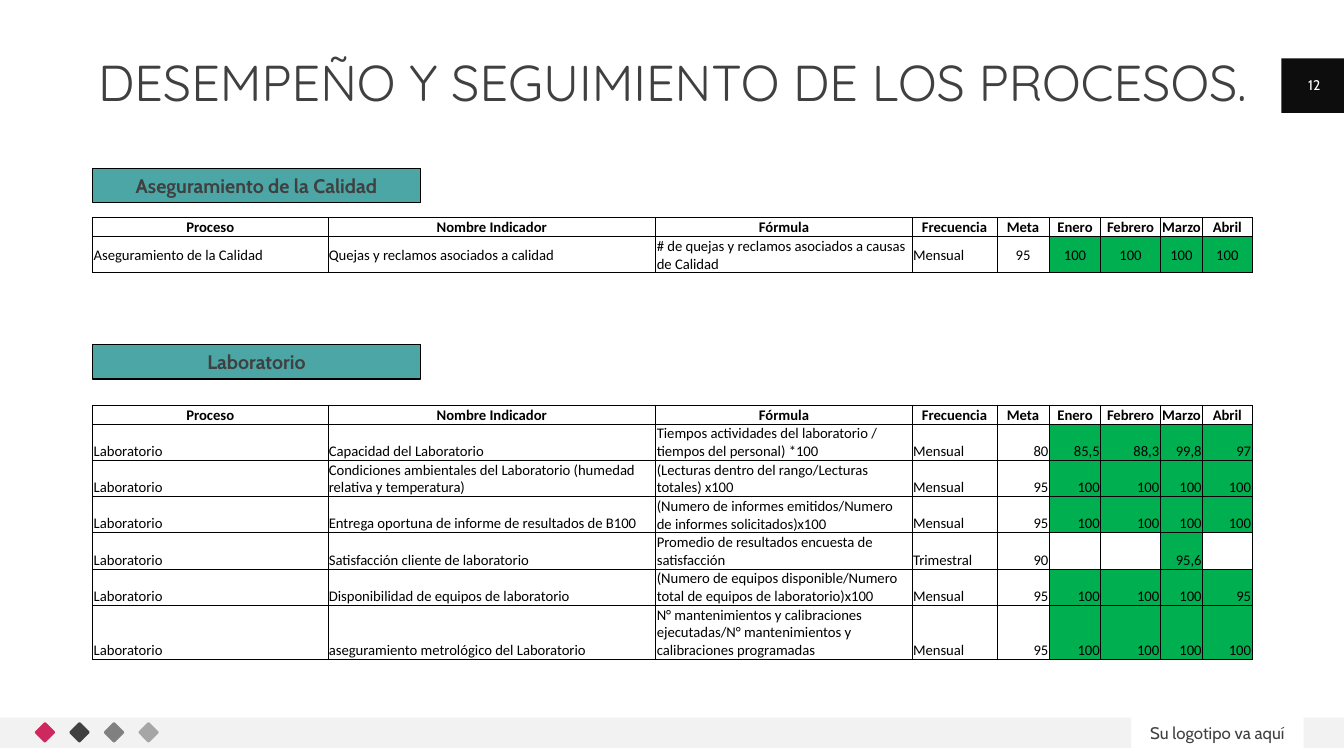
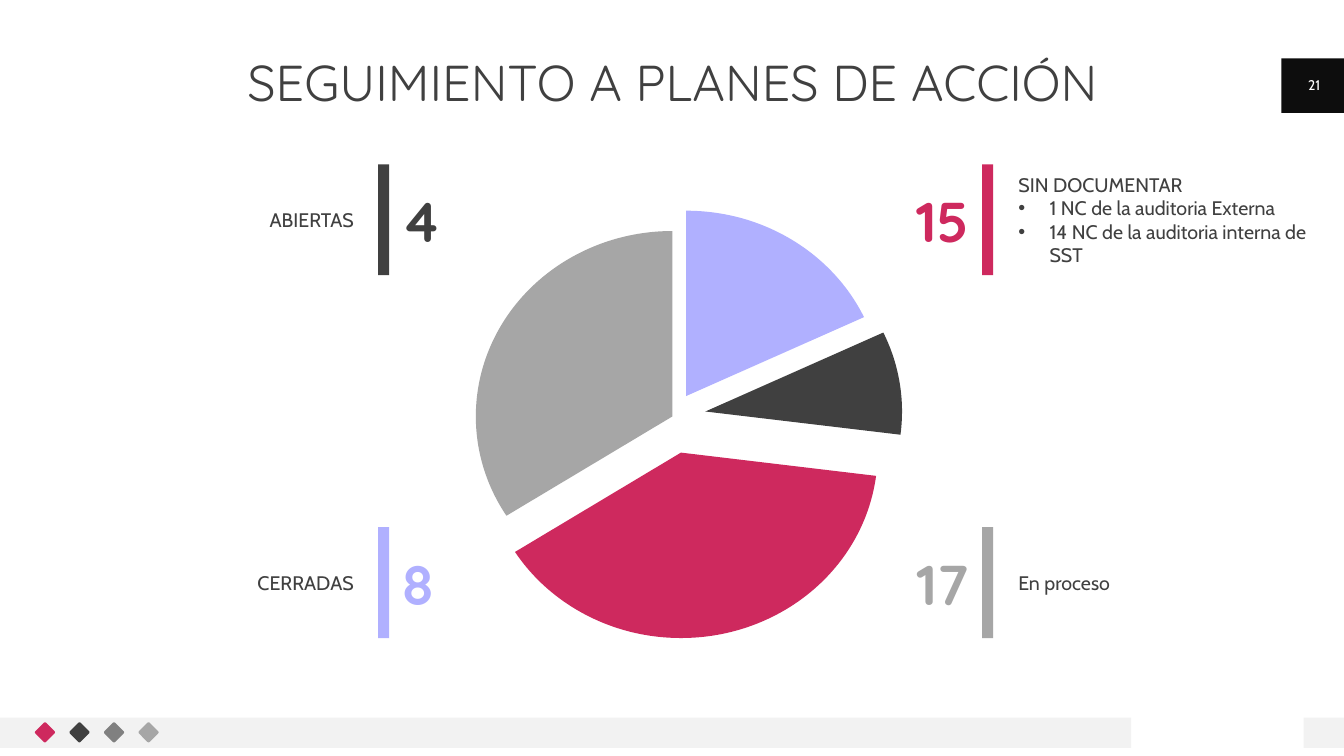
import pptx
import pptx.chart.data
import pptx.dml.color
import pptx.enum.chart
import pptx.enum.shapes
import pptx.enum.text
import pptx.oxml
import pptx.oxml.ns
import pptx.util
from lxml import etree

RGBColor = pptx.dml.color.RGBColor
ALIGN = pptx.enum.text.PP_ALIGN
ANCHOR = pptx.enum.text.MSO_ANCHOR
SHAPE = pptx.enum.shapes.MSO_SHAPE
qn = pptx.oxml.ns.qn

BLACK = RGBColor(0x00, 0x00, 0x00)
WHITE = RGBColor(0xFF, 0xFF, 0xFF)
INK = RGBColor(0x40, 0x40, 0x40)
BADGE = RGBColor(0x0D, 0x0D, 0x0D)
BAND = RGBColor(0xF2, 0xF2, 0xF2)
MAGENTA = RGBColor(0xCE, 0x29, 0x5E)
MID_GREY = RGBColor(0x80, 0x80, 0x80)
LIGHT_GREY = RGBColor(0xA6, 0xA6, 0xA6)
LILAC = RGBColor(0xB0, 0xB0, 0xFF)
TEAL = RGBColor(0x4C, 0xA6, 0xA6)
GREEN = RGBColor(0x00, 0xB0, 0x50)

TITLE_FONT, BODY_FONT, TABLE_FONT = "Quicksand", "Cabin", "Calibri"

SLIDE_W = pptx.util.Inches(13.33)
SLIDE_H = pptx.util.Inches(7.5)

# Positions and sizes are percentages of the slide's width and height.
MARGIN, CONTENT_W = 6.9, 86.27
HEADER_TOP = 7.73
FOOTER_TOP, FOOTER_H = 94.93, 4
LOGO_LEFT, LOGO_W = 84.17, 12.83
LINE_H = 2.39

COLUMN_WEIGHTS = (2.33, 3.25, 2.54, 0.84, 0.52, 0.51, 0.59, 0.42, 0.49)
HEADINGS = ("Proceso", "Nombre Indicador", "Fórmula", "Frecuencia", "Meta",
            "Enero", "Febrero", "Marzo", "Abril")
FIRST_NUMBER, FIRST_MONTH = 4, 5

QUALITY_ROWS = [
    ("Aseguramiento de la Calidad", "Quejas y reclamos asociados a calidad",
     "# de quejas y reclamos asociados a causas de Calidad",
     "Mensual", "95", "100", "100", "100", "100"),
]
LAB_ROWS = [("Laboratorio", *row) for row in (
    ("Capacidad del Laboratorio",
     "Tiempos actividades del laboratorio / tiempos del personal) *100",
     "Mensual", "80", "85,5", "88,3", "99,8", "97"),
    ("Condiciones ambientales del Laboratorio (humedad relativa y temperatura)",
     "(Lecturas dentro del rango/Lecturas totales) x100",
     "Mensual", "95", "100", "100", "100", "100"),
    ("Entrega oportuna de informe de resultados de B100",
     "(Numero de informes emitidos/Numero de informes solicitados)x100",
     "Mensual", "95", "100", "100", "100", "100"),
    ("Satisfacción cliente de laboratorio",
     "Promedio de resultados encuesta de satisfacción",
     "Trimestral", "90", "", "", "95,6", ""),
    ("Disponibilidad de equipos de laboratorio",
     "(Numero de equipos disponible/Numero total de equipos de laboratorio)x100",
     "Mensual", "95", "100", "100", "100", "95"),
    ("aseguramiento metrológico del Laboratorio",
     "N° mantenimientos y calibraciones ejecutadas/N° mantenimientos y "
     "calibraciones programadas",
     "Mensual", "95", "100", "100", "100", "100"),
)]

# Share, colour and explosion of each slice, clockwise from the top.
SLICES = [(18, LILAC, 13), (9, INK, 17), (39, MAGENTA, 20), (34, LIGHT_GREY, 0)]

# Left and width of the label, bar and figure on each side of the pie.
LEFT_SIDE = {"label": (4.2, 22.13), "bar": (28.13, 0.83),
             "figure": (29.86, 15.6),
             "label_align": ALIGN.RIGHT, "figure_align": ALIGN.LEFT}
RIGHT_SIDE = {"label": (75.77, 23.03), "bar": (73.07, 0.83),
              "figure": (56.49, 15.6),
              "label_align": ALIGN.LEFT, "figure_align": ALIGN.RIGHT}
UPPER_ROW, LOWER_ROW, CALLOUT_H = 21.73, 69.73, 14.67


def place(left, top, width, height):
    """Turn percentages of the slide into lengths."""
    return (int(SLIDE_W * left / 100), int(SLIDE_H * top / 100),
            int(SLIDE_W * width / 100), int(SLIDE_H * height / 100))


def style_paragraph(paragraph, size, color, font, bold, align):
    paragraph.alignment = align
    for run in paragraph.runs:
        run.font.size = pptx.util.Pt(size)
        run.font.name = font
        run.font.bold = bold
        run.font.color.rgb = color


def write(frame, text, size, color=INK, font=BODY_FONT, bold=False,
          align=ALIGN.CENTER, anchor=ANCHOR.MIDDLE, inset=0):
    frame.word_wrap = True
    frame.vertical_anchor = anchor
    frame.margin_left = frame.margin_right = pptx.util.Inches(inset)
    frame.margin_top = frame.margin_bottom = pptx.util.Inches(inset / 2)
    frame.text = text
    for paragraph in frame.paragraphs:
        style_paragraph(paragraph, size, color, font, bold, align)


def add_text(slide, box, text, size, **style):
    frame = slide.shapes.add_textbox(*place(*box)).text_frame
    write(frame, text, size, **style)
    return frame


def add_block(slide, box, fill, preset=SHAPE.RECTANGLE):
    block = slide.shapes.add_shape(preset, *place(*box))
    block.shadow.inherit = False
    block.fill.solid()
    block.fill.fore_color.rgb = fill
    block.line.fill.background()
    return block


def add_bullet(paragraph):
    properties = paragraph._p.get_or_add_pPr()
    indent = pptx.util.Inches(0.31)
    properties.set("marL", str(indent))
    properties.set("indent", str(-indent))
    etree.SubElement(properties, qn("a:buFont"), typeface="Arial")
    etree.SubElement(properties, qn("a:buChar"), char="•")


def add_base_slide(deck, title, number):
    """Add a slide with its bands, diamonds, page number and title."""
    slide = deck.slides.add_slide(deck.slide_layouts[6])
    logo_right = LOGO_LEFT + LOGO_W
    add_block(slide, (0, FOOTER_TOP, LOGO_LEFT, FOOTER_H), BAND)
    add_block(slide, (logo_right, FOOTER_TOP, 100 - logo_right, FOOTER_H), BAND)
    add_block(slide, (95.35, HEADER_TOP, 4.65, 7.2), BADGE)
    for index, color in enumerate((MAGENTA, INK, MID_GREY, LIGHT_GREY)):
        diamond = add_block(slide, (2.78 + 2.57 * index, 95.87, 1.13, 2), color,
                            SHAPE.ROUNDED_RECTANGLE)
        diamond.adjustments[0] = 0.11
        diamond.rotation = 315
    heading = add_text(slide, (MARGIN, HEADER_TOP, CONTENT_W, 7.27), title, 36,
                       font=TITLE_FONT, anchor=ANCHOR.TOP)
    heading.paragraphs[0].line_spacing = 0.9
    add_text(slide, (96.02, 8.53, 3.53, 5.33), str(number), 10, color=WHITE)
    return slide


def add_section_label(slide, top, text):
    label = add_block(slide, (MARGIN, top, 24.38, 4.53), TEAL)
    label.line.color.rgb = BLACK
    label.line.width = pptx.util.Pt(1)
    write(label.text_frame, text, 14, bold=True)


def add_borders(cell):
    properties = cell._tc.get_or_add_tcPr()
    for position, side in enumerate(("a:lnL", "a:lnR", "a:lnT", "a:lnB")):
        border = etree.Element(qn(side), w=str(pptx.util.Pt(0.5)))
        fill = etree.SubElement(border, qn("a:solidFill"))
        etree.SubElement(fill, qn("a:srgbClr"), val=str(BLACK))
        properties.insert(position, border)


def fill_cell(cell, text, bold, align, anchor, fill):
    cell.margin_left = cell.margin_right = pptx.util.Inches(0.01)
    cell.margin_top = pptx.util.Inches(0.01)
    cell.margin_bottom = 0
    cell.vertical_anchor = anchor
    cell.text_frame.text = text
    style_paragraph(cell.text_frame.paragraphs[0], 10.5, BLACK, TABLE_FONT,
                    bold, align)
    if fill is None:
        cell.fill.background()
    else:
        cell.fill.solid()
        cell.fill.fore_color.rgb = fill
    add_borders(cell)


def add_indicator_table(slide, top, rows, line_counts, number_align, anchor):
    """Add a table whose row heights follow the number of text lines."""
    heights = [LINE_H * lines for lines in (1, *line_counts)]
    box = place(MARGIN, top, CONTENT_W, sum(heights))
    table = slide.shapes.add_table(len(heights), len(HEADINGS), *box).table
    table.first_row = table.horz_banding = False
    for column, weight in zip(table.columns, COLUMN_WEIGHTS):
        column.width = int(box[2] * weight / sum(COLUMN_WEIGHTS))
    for row, height in zip(table.rows, heights):
        row.height = int(SLIDE_H * height / 100)
    for col, heading in enumerate(HEADINGS):
        fill_cell(table.cell(0, col), heading, True, ALIGN.CENTER,
                  ANCHOR.MIDDLE, None)
    for row, values in enumerate(rows, start=1):
        for col, value in enumerate(values):
            align = number_align if col >= FIRST_NUMBER else ALIGN.LEFT
            fill = GREEN if value and col >= FIRST_MONTH else None
            fill_cell(table.cell(row, col), value, False, align, anchor, fill)


def set_plot_area(chart, left, top, width, height):
    """Fix the inner plot area, in shares of the chart."""
    plot_area = chart._chartSpace.chart.plotArea
    for old in plot_area.findall(qn("c:layout")):
        plot_area.remove(old)
    layout = etree.Element(qn("c:layout"))
    manual = etree.SubElement(layout, qn("c:manualLayout"))
    for tag, value in (("layoutTarget", "inner"), ("xMode", "edge"),
                       ("yMode", "edge"), ("x", left), ("y", top),
                       ("w", width), ("h", height)):
        etree.SubElement(manual, qn("c:" + tag), val=str(value))
    plot_area.insert(0, layout)


def add_action_pie(slide):
    data = pptx.chart.data.CategoryChartData()
    data.categories = [str(index + 1) for index in range(len(SLICES))]
    data.add_series("Series 1", [share for share, _, _ in SLICES])
    chart = slide.shapes.add_chart(pptx.enum.chart.XL_CHART_TYPE.PIE,
                                   *place(26.18, 27.87, 47.71, 56.53),
                                   data).chart
    chart.has_legend = chart.has_title = False
    chart.font.name = BODY_FONT
    chart.font.size = pptx.util.Pt(10)
    chart.font.color.rgb = BLACK
    chart.plots[0].vary_by_categories = True
    series = chart.plots[0].series[0]
    for index, (_, color, explosion) in enumerate(SLICES):
        slice_format = series.points[index].format
        slice_format.fill.solid()
        slice_format.fill.fore_color.rgb = color
        slice_format.line.fill.background()
    for point, (_, _, explosion) in zip(series._element.findall(qn("c:dPt")),
                                        SLICES):
        offset = etree.Element(qn("c:explosion"), val=str(explosion))
        point.find(qn("c:spPr")).addprevious(offset)
    set_plot_area(chart, 0.19, 0.04, 0.62, 0.92)


def add_callout(slide, side, top, figure, label, color):
    """Add a bar with a figure towards the pie and a label outside."""
    boxes = {part: (side[part][0], top, side[part][1], CALLOUT_H)
             for part in ("bar", "figure", "label")}
    add_block(slide, boxes["bar"], color)
    add_text(slide, boxes["figure"], figure, 40, color=color, font=TITLE_FONT,
             bold=True, align=side["figure_align"])
    frame = add_text(slide, boxes["label"], label, 14,
                     align=side["label_align"])
    for detail in frame.paragraphs[1:]:
        add_bullet(detail)


def build_performance_slide(deck):
    slide = add_base_slide(deck, "DESEMPEÑO Y SEGUIMIENTO DE LOS PROCESOS.", 12)
    add_text(slide, (LOGO_LEFT, FOOTER_TOP, LOGO_W, FOOTER_H),
             "Su logotipo va aquí", 12)
    add_section_label(slide, 22.27, "Aseguramiento de la Calidad")
    add_indicator_table(slide, 28.8, QUALITY_ROWS, (2,), ALIGN.CENTER,
                        ANCHOR.MIDDLE)
    add_section_label(slide, 45.6, "Laboratorio")
    add_indicator_table(slide, 53.6, LAB_ROWS, (2, 2, 2, 2, 2, 3), ALIGN.RIGHT,
                        ANCHOR.BOTTOM)


def build_action_plan_slide(deck):
    slide = add_base_slide(deck, "SEGUIMIENTO A PLANES DE ACCIÓN", 21)
    add_action_pie(slide)
    undocumented = ("SIN DOCUMENTAR\n1 NC de la auditoria Externa\n"
                    "14 NC de la auditoria interna de SST")
    add_callout(slide, LEFT_SIDE, UPPER_ROW, "4", "ABIERTAS", INK)
    add_callout(slide, LEFT_SIDE, LOWER_ROW, "8", "CERRADAS", LILAC)
    add_callout(slide, RIGHT_SIDE, UPPER_ROW, "15", undocumented, MAGENTA)
    add_callout(slide, RIGHT_SIDE, LOWER_ROW, "17", "En proceso", LIGHT_GREY)


def main():
    deck = pptx.Presentation()
    deck.slide_width, deck.slide_height = SLIDE_W, SLIDE_H
    build_performance_slide(deck)
    build_action_plan_slide(deck)
    deck.save("out.pptx")


if __name__ == "__main__":
    main()
